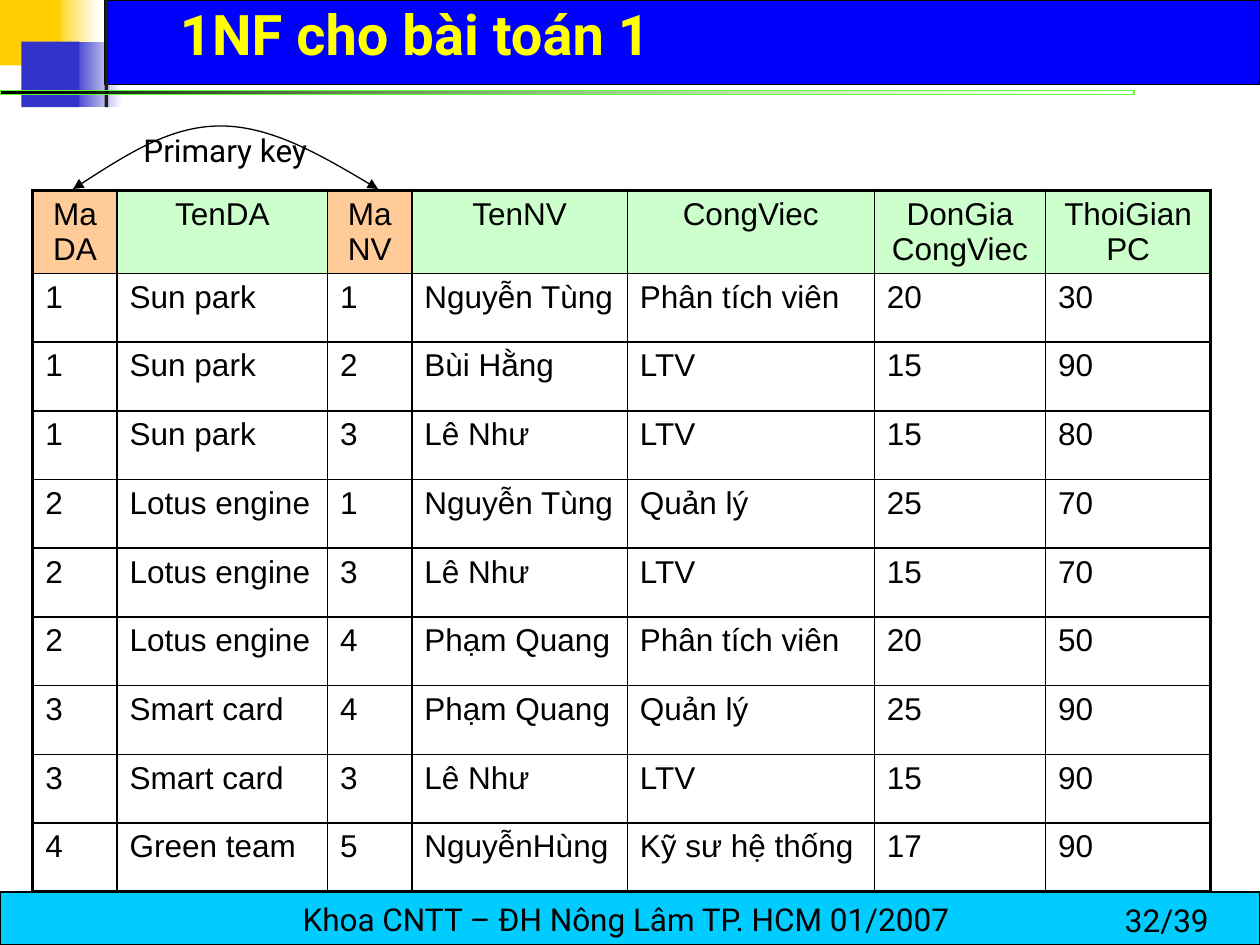
from lxml.etree import SubElement
from pptx import Presentation
from pptx.dml.color import RGBColor
from pptx.enum.shapes import MSO_SHAPE
from pptx.enum.text import MSO_ANCHOR, PP_ALIGN
from pptx.oxml.ns import qn
from pptx.util import Inches, Pt

COLORS = {
    "black": "000000", "white": "FFFFFF", "gold": "FFCF01", "indigo": "3333CC",
    "blue": "0000FF", "charcoal": "1C1C1C", "lime": "66FF33", "cyan": "00CCFF",
    "yellow": "FFFF00", "key": "FFCC99", "header": "CCFFCC",
}
HEADERS = ["Ma DA", "TenDA", "Ma NV", "TenNV", "CongViec", "DonGia CongViec", "ThoiGianPC"]
KEY_COLUMNS = (0, 2)
COLUMN_WIDTHS = [0.67, 1.67, 0.67, 1.71, 1.96, 1.36, 1.31]
HEADER_HEIGHT, BODY_HEIGHT = 0.66, 4.91
ASSIGNMENTS = [
    ["1", "Sun park", "1", "Nguyễn Tùng", "Phân tích viên", "20", "30"],
    ["1", "Sun park", "2", "Bùi Hằng", "LTV", "15", "90"],
    ["1", "Sun park", "3", "Lê Như", "LTV", "15", "80"],
    ["2", "Lotus engine", "1", "Nguyễn Tùng", "Quản lý", "25", "70"],
    ["2", "Lotus engine", "3", "Lê Như", "LTV", "15", "70"],
    ["2", "Lotus engine", "4", "Phạm Quang", "Phân tích viên", "20", "50"],
    ["3", "Smart card", "4", "Phạm Quang", "Quản lý", "25", "90"],
    ["3", "Smart card", "3", "Lê Như", "LTV", "15", "90"],
    ["4", "Green team", "5", "NguyễnHùng", "Kỹ sư hệ thống", "17", "90"],
]


def rgb(color):
    return RGBColor.from_string(COLORS[color])


def write(frame, text, font="Roboto", size=18, color="black", bold=False, align=PP_ALIGN.LEFT):
    frame.text = text
    paragraph = frame.paragraphs[0]
    paragraph.alignment = align
    style = paragraph.runs[0].font
    style.name, style.size, style.bold = font, Pt(size), bold
    style.color.rgb = rgb(color)


def add_block(slide, box, color, fade_to=None, outline=None, width=0.75):
    block = slide.shapes.add_shape(MSO_SHAPE.RECTANGLE, *map(Inches, box))
    block.shadow.inherit = False
    if fade_to:
        block.fill.gradient()
        block.fill.gradient_angle = 0
        for stop, stop_color in zip(block.fill.gradient_stops, (color, fade_to)):
            stop.color.rgb = rgb(stop_color)
    else:
        block.fill.solid()
        block.fill.fore_color.rgb = rgb(color)
    if outline:
        block.line.color.rgb = rgb(outline)
        block.line.width = Pt(width)
    else:
        block.line.fill.background()
    return block


def add_label(slide, box, text, anchor=MSO_ANCHOR.TOP, **style):
    frame = slide.shapes.add_textbox(*map(Inches, box)).text_frame
    frame.word_wrap = True
    frame.vertical_anchor = anchor
    write(frame, text, **style)


def make_end_transparent(block):
    last_color = list(block.element.iter(qn("a:gs")))[-1].find(qn("a:srgbClr"))
    SubElement(last_color, qn("a:alpha"), val="0")


def add_frame_decor(slide):
    add_block(slide, (0.42, 0, 0.36, 0.52), "gold", fade_to="white")
    add_block(slide, (0.57, 0.33, 0.4, 0.52), "indigo", fade_to="white")
    add_block(slide, (0.83, 0, 9.17, 0.67), "blue", outline="black")
    add_block(slide, (0, 0, 0.48, 0.52), "gold")
    add_block(slide, (0.17, 0.33, 0.46, 0.52), "indigo")
    add_block(slide, (0.83, 0, 0.03, 0.85), "charcoal")
    rule = add_block(slide, (0, 0.72, 9, 0.03), "black", fade_to="lime", outline="lime", width=0)
    make_end_transparent(rule)


def add_footer(slide):
    footer = add_block(slide, (0, 7.08, 10, 0.42), "cyan", outline="black").text_frame
    footer.word_wrap = False
    footer.vertical_anchor = MSO_ANCHOR.MIDDLE
    write(footer, "Khoa CNTT – ĐH Nông Lâm TP. HCM 01/2007 ", align=PP_ALIGN.CENTER)
    add_label(slide, (8.83, 7.1, 1.17, 0.4), "32/39")


def set_borders(cell, widths):
    properties = cell._tc.get_or_add_tcPr()
    for side, width in widths.items():
        border = SubElement(properties, qn(f"a:ln{side}"), w=str(Pt(width)))
        fill = SubElement(border, qn("a:solidFill"))
        SubElement(fill, qn("a:srgbClr"), val=COLORS["black"])


def add_assignment_table(slide):
    rows = [HEADERS] + ASSIGNMENTS
    last_row, last_column = len(rows) - 1, len(HEADERS) - 1
    table = slide.shapes.add_table(
        len(rows), len(HEADERS), Inches(0.26), Inches(1.51),
        Inches(sum(COLUMN_WIDTHS)), Inches(HEADER_HEIGHT + BODY_HEIGHT)).table
    table.first_row = table.horz_banding = False
    for column, width in zip(table.columns, COLUMN_WIDTHS):
        column.width = Inches(width)
    for r, values in enumerate(rows):
        table.rows[r].height = Inches(BODY_HEIGHT / len(ASSIGNMENTS) if r else HEADER_HEIGHT)
        for c, value in enumerate(values):
            cell = table.cell(r, c)
            cell.margin_bottom = 0
            outer = {"L": c == 0, "R": c == last_column, "T": r == 0, "B": r == last_row}
            set_borders(cell, {side: 2.25 if edge else 1 for side, edge in outer.items()})
            write(cell.text_frame, value, font="Arial",
                  align=PP_ALIGN.LEFT if r else PP_ALIGN.CENTER)
            if r:
                cell.fill.background()
            else:
                cell.fill.solid()
                cell.fill.fore_color.rgb = rgb("key" if c in KEY_COLUMNS else "header")


def add_key_arc(slide):
    start, *curve_points = [(58, 150), (97, 125), (135, 100), (175, 100),
                            (215, 100), (258, 125), (300, 150)]
    builder = slide.shapes.build_freeform(*start, scale=Inches(0.01))
    builder.add_line_segments(curve_points, close=False)
    arc = builder.convert_to_shape()
    arc.shadow.inherit = False
    arc.fill.background()
    arc.line.color.rgb = rgb("black")
    arc.line.width = Pt(0.75)
    outline = next(arc.element.iter(qn("a:path")))
    segments = outline.findall(qn("a:lnTo"))
    for first in range(0, len(segments), 3):
        curve = SubElement(outline, qn("a:cubicBezTo"))
        for segment in segments[first:first + 3]:
            curve.append(segment[0])
            outline.remove(segment)
    line = arc.line._get_or_add_ln()
    for end in ("a:headEnd", "a:tailEnd"):
        SubElement(line, qn(end), type="triangle")


def main():
    deck = Presentation()
    deck.slide_width, deck.slide_height = Inches(10), Inches(7.5)
    slide = deck.slides.add_slide(deck.slide_layouts[6])
    add_frame_decor(slide)
    add_footer(slide)
    add_label(slide, (1.33, 0, 8.25, 0.58), "1NF cho bài toán 1", MSO_ANCHOR.BOTTOM,
              size=32, color="yellow", bold=True)
    add_assignment_table(slide)
    add_key_arc(slide)
    add_label(slide, (1.04, 0.99, 1.92, 0.4), "Primary key")
    deck.save("out.pptx")


if __name__ == "__main__":
    main()
